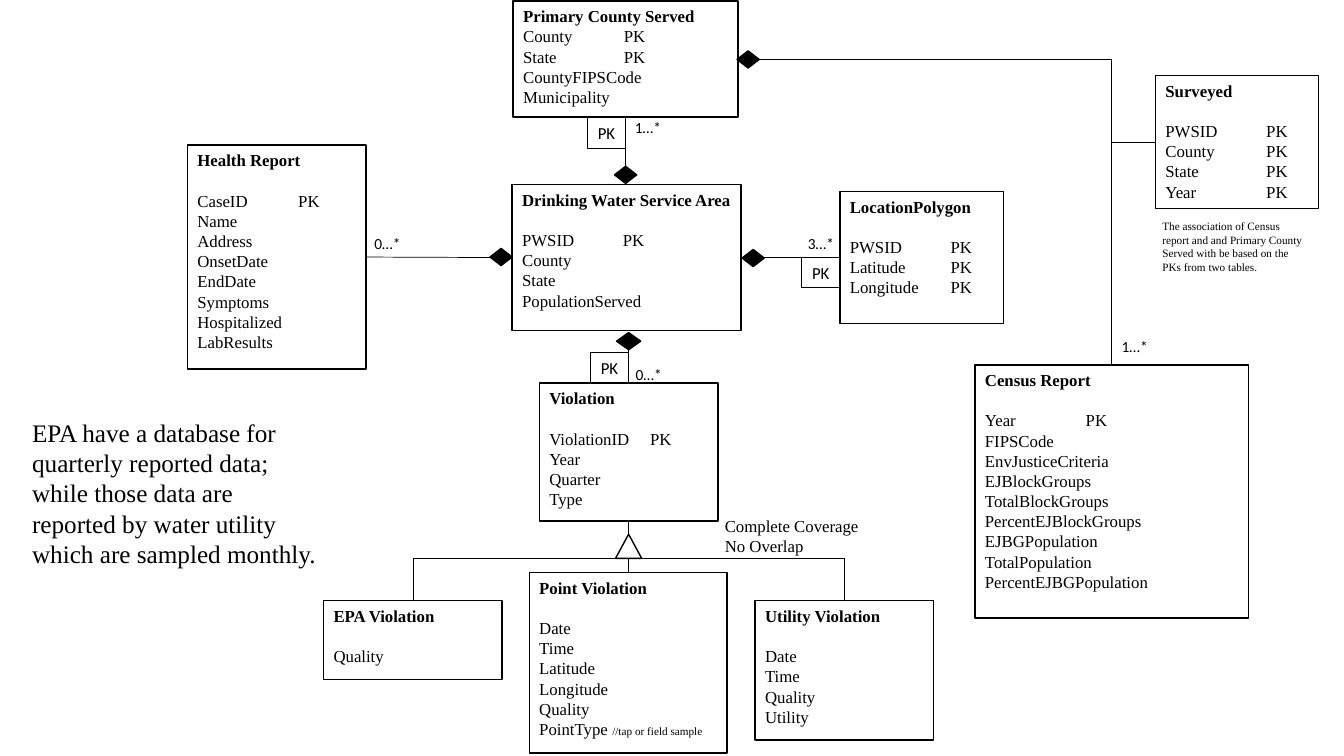
from collections import namedtuple
from dataclasses import dataclass

from lxml import etree
from pptx import Presentation
from pptx import util as u
from pptx.dml.color import RGBColor
from pptx.enum import shapes, text
from pptx.oxml.ns import qn

SHAPE = shapes.MSO_SHAPE
ALIGN = text.PP_ALIGN
ANCHOR = text.MSO_ANCHOR


@dataclass(frozen=True)
class Theme:
    """Colours, fonts, type sizes and line widths."""
    ink: RGBColor = RGBColor(0, 0, 0)
    paper: RGBColor = RGBColor(255, 255, 255)
    serif: str = "Times New Roman"
    sans: str = "Calibri"
    lead: float = 18
    body: float = 12
    count: float = 11
    small: float = 8
    leading: float = 1.2
    border: float = 1
    key_border: float = 0.75
    link: float = 0.5


T = Theme()


class Box(namedtuple("Box", "x y w h")):
    """A rectangle in inches."""
    right = property(lambda b: b.x + b.w)
    bottom = property(lambda b: b.y + b.h)
    cx = property(lambda b: b.x + b.w / 2)
    cy = property(lambda b: b.y + b.h / 2)

    def emu(self):
        """Return the four lengths for python-pptx."""
        return [u.Inches(v) for v in self]


def style(p, size, face=T.serif, bold=False, align=ALIGN.LEFT):
    """Format one paragraph."""
    p.alignment = align
    p.line_spacing = u.Pt(size * T.leading)
    p.font.size, p.font.name, p.font.bold = u.Pt(size), face, bold
    p.font.color.rgb = T.ink


def add_tab(p):
    """Set a tab stop one inch in, for the key column."""
    tabs = etree.SubElement(p._p.get_or_add_pPr(), qn("a:tabLst"))
    etree.SubElement(tabs, qn("a:tab"), pos=str(u.Inches(1)), algn="l")


def add_shape(s, kind, box, fill=None, width=T.border):
    """Add an outlined shape without a shadow."""
    sp = s.shapes.add_shape(kind, *box.emu())
    sp.shadow.inherit = False
    if fill is None:
        sp.fill.background()
    else:
        sp.fill.solid()
        sp.fill.fore_color.rgb = fill
    sp.line.color.rgb, sp.line.width = T.ink, u.Pt(width)
    return sp


def add_line(s, x1, y1, x2, y2):
    """Add a thin straight line."""
    c = s.shapes.add_connector(shapes.MSO_CONNECTOR.STRAIGHT,
                               *[u.Inches(v) for v in (x1, y1, x2, y2)])
    c.line.color.rgb, c.line.width = T.ink, u.Pt(T.link)
    etree.SubElement(c._element.spPr, qn("a:effectLst"))


def add_note(s, box, lines, size, face=T.serif, align=ALIGN.LEFT):
    """Add plain text, one paragraph for each line."""
    tf = s.shapes.add_textbox(*box.emu()).text_frame
    tf.word_wrap = True
    tf.text = "\n".join(lines)
    for p in tf.paragraphs:
        style(p, size, face, align=align)


def add_class(s, box, name, fields, gap=True, remark=None):
    """Draw a class box: bold name, then fields with tabbed keys."""
    tf = add_shape(s, SHAPE.FLOWCHART_PROCESS, box, T.paper).text_frame
    tf.word_wrap, tf.vertical_anchor = True, ANCHOR.TOP
    tf.margin_right = u.Inches(0.05)
    p = tf.paragraphs[0]
    p.text = name
    style(p, T.body, bold=True)
    if gap:
        p.space_after = u.Pt(T.body * T.leading)
    for field in fields:
        p = tf.add_paragraph()
        p.text = field
        if "\t" in field:
            add_tab(p)
        style(p, T.body)
    if remark:
        r = p.add_run()
        r.text, r.font.size = remark, u.Pt(T.small)


def add_diamond(s, x, y, w=0.22):
    """Draw a composition diamond from its top left corner."""
    add_shape(s, SHAPE.FLOWCHART_DECISION, Box(x, y, w, 0.17), T.ink)


def add_key(s, x, y):
    """Draw a small PK qualifier box."""
    sp = add_shape(s, SHAPE.RECTANGLE, Box(x, y, 0.38, 0.3), width=T.key_border)
    tf = sp.text_frame
    tf.margin_left = tf.margin_right = 0
    tf.vertical_anchor = ANCHOR.MIDDLE
    tf.text = "PK"
    style(tf.paragraphs[0], T.body, T.sans, align=ALIGN.CENTER)


def add_count(s, x, y, label, align=ALIGN.RIGHT):
    """Write a multiplicity label."""
    add_note(s, Box(x, y, 0.52, 0.29), [label], T.count, T.sans, align)


def link_service_area(s, area, county, health, polygon, violation):
    """Join the service area to its four neighbours."""
    add_line(s, area.right, area.cy, polygon.x, polygon.cy)
    add_diamond(s, area.right + 0.01, area.cy - 0.08)
    add_key(s, polygon.x - 0.38, polygon.cy)
    add_count(s, polygon.x - 0.48, polygon.cy - 0.28, "3…*")

    add_line(s, health.right, health.cy, area.x - 0.22, area.cy)
    add_diamond(s, area.x - 0.22, area.cy - 0.09)
    add_count(s, health.right - 0.08, area.cy - 0.28, "0…*")

    add_line(s, county.cx, county.bottom, county.cx, area.y - 0.18)
    add_diamond(s, county.cx - 0.11, area.y - 0.18)
    add_key(s, county.cx - 0.38, county.bottom + 0.01)
    add_count(s, county.cx - 0.07, county.bottom - 0.04, "1…*")

    add_line(s, violation.cx, area.bottom + 0.19, violation.cx, violation.y)
    add_diamond(s, violation.cx - 0.12, area.bottom + 0.02, 0.24)
    add_key(s, violation.cx - 0.38, violation.y - 0.3)
    add_count(s, violation.cx - 0.03, violation.y - 0.23, "0…*", ALIGN.LEFT)


def link_census(s, county, census, surveyed):
    """Join the county to the census report, with its association class."""
    add_line(s, county.right, county.cy, census.cx, county.cy)
    add_line(s, census.cx, county.cy, census.cx, census.y)
    add_line(s, census.cx, surveyed.cy, surveyed.x, surveyed.cy)
    add_diamond(s, county.right - 0.01, county.cy - 0.08)
    add_count(s, census.cx, census.y - 0.33, "1…*", ALIGN.LEFT)
    add_note(s, Box(surveyed.x - 0.03, surveyed.bottom + 0.06, 1.65, 0.64),
             ["The association of Census report and and Primary County Served "
              "with be based on the PKs from two tables."], T.small)


def link_subtypes(s, parent, children):
    """Draw the inheritance tree under the parent class."""
    top, rail = parent.bottom + 0.13, parent.bottom + 0.37
    add_line(s, parent.cx, parent.bottom, parent.cx, top)
    add_shape(s, SHAPE.ISOSCELES_TRIANGLE,
              Box(parent.cx - 0.13, top, 0.26, rail - top))
    add_line(s, children[0].cx, rail, children[-1].cx, rail)
    for child in children:
        add_line(s, child.cx, rail, child.cx, child.y)
    add_note(s, Box(parent.right - 0.03, parent.bottom - 0.1, 1.68, 0.5),
             ["Complete Coverage", "No Overlap"], T.body)


def build_diagram(s):
    """Place all classes and join them."""
    area = Box(5.08, 1.83, 2.27, 1.45)
    county = Box(5.09, 0.01, 2.23, 1.15)
    health = Box(1.86, 1.44, 1.77, 2.22)
    polygon = Box(8.33, 1.9, 1.62, 1.31)
    violation = Box(5.35, 3.8, 1.77, 1.37)
    census = Box(9.67, 3.62, 2.71, 2.51)
    surveyed = Box(11.46, 0.75, 1.62, 1.32)
    epa = Box(3.21, 5.96, 1.77, 0.78)
    point = Box(5.25, 5.68, 1.96, 1.79)
    utility = Box(7.49, 5.96, 1.77, 1.38)

    add_class(s, area, "Drinking Water Service Area",
              ["PWSID\tPK", "County", "State", "PopulationServed"])
    add_class(s, county, "Primary County Served",
              ["County\tPK", "State\tPK", "CountyFIPSCode", "Municipality"], gap=False)
    add_class(s, health, "Health Report",
              ["CaseID\tPK", "Name", "Address", "OnsetDate", "EndDate",
               "Symptoms", "Hospitalized", "LabResults"])
    add_class(s, polygon, "LocationPolygon",
              ["PWSID\tPK", "Latitude\tPK", "Longitude\tPK"])
    add_class(s, violation, "Violation",
              ["ViolationID\tPK", "Year", "Quarter", "Type"])
    add_class(s, census, "Census Report",
              ["Year\tPK", "FIPSCode", "EnvJusticeCriteria", "EJBlockGroups",
               "TotalBlockGroups", "PercentEJBlockGroups", "EJBGPopulation",
               "TotalPopulation", "PercentEJBGPopulation"])
    add_class(s, surveyed, "Surveyed",
              ["PWSID\tPK", "County\tPK", "State\tPK", "Year\tPK"])
    add_class(s, epa, "EPA Violation", ["Quality"])
    add_class(s, point, "Point Violation",
              ["Date", "Time", "Latitude", "Longitude", "Quality", "PointType "],
              remark="//tap or field sample")
    add_class(s, utility, "Utility Violation", ["Date", "Time", "Quality", "Utility"])

    link_service_area(s, area, county, health, polygon, violation)
    link_census(s, county, census, surveyed)
    link_subtypes(s, violation, [epa, point, utility])


prs = Presentation()
prs.slide_width, prs.slide_height = u.Inches(13.33), u.Inches(7.5)
s = prs.slides.add_slide(prs.slide_layouts[6])
build_diagram(s)
add_note(s, Box(0.22, 4.09, 3.07, 1.62),
         ["EPA have a database for quarterly reported data; while those data are "
          "reported by water utility which are sampled monthly."], T.lead)
prs.save("out.pptx")
